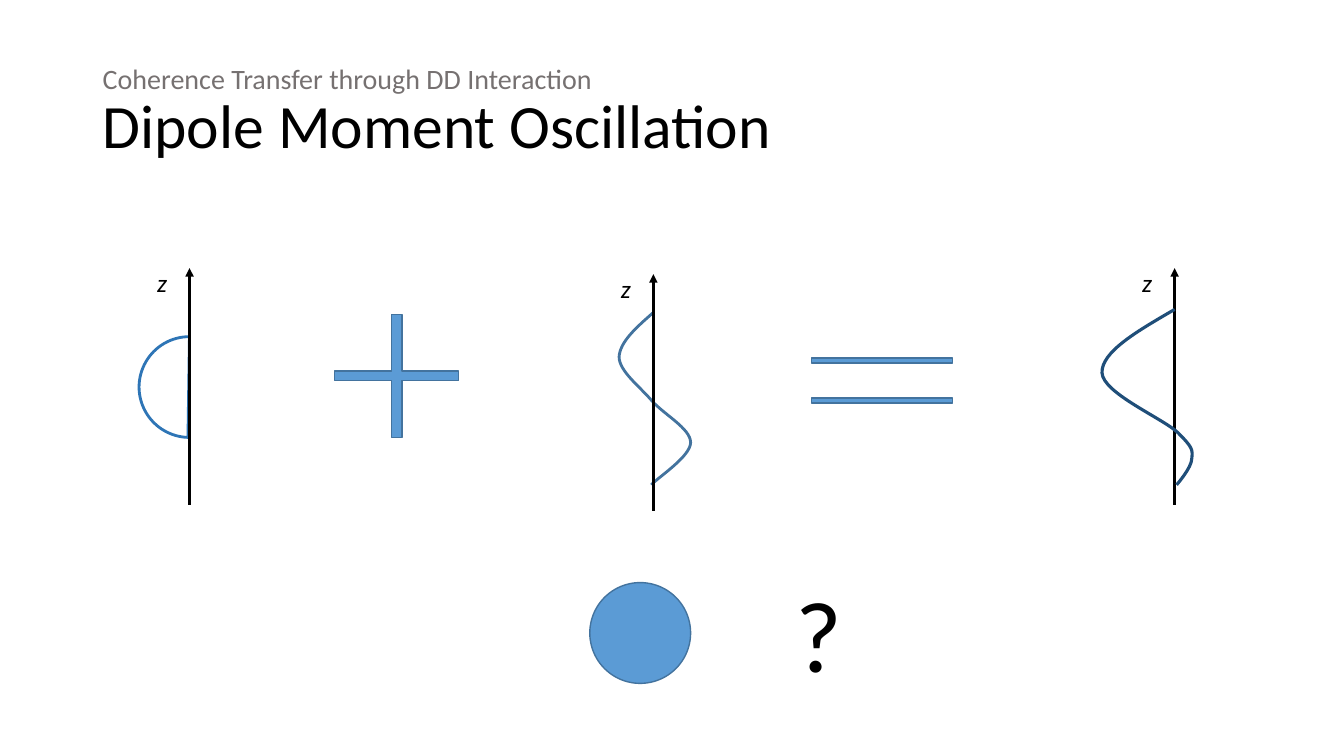
from lxml import etree
from pptx import Presentation
from pptx.dml.color import RGBColor
from pptx.enum.shapes import MSO_CONNECTOR, MSO_SHAPE
from pptx.enum.text import MSO_ANCHOR
from pptx.oxml.ns import qn
from pptx.util import Inches, Pt

STRAIGHT = MSO_CONNECTOR.STRAIGHT
CHORD, PLUS = MSO_SHAPE.CHORD, MSO_SHAPE.CROSS
BAR, CIRCLE = MSO_SHAPE.RECTANGLE, MSO_SHAPE.OVAL
TOP, MIDDLE = MSO_ANCHOR.TOP, MSO_ANCHOR.MIDDLE

BLACK, GREY = "000000", "767171"
BLUE, OUTLINE = "5B9BD5", "43739E"
CHORD_BLUE, SUM_BLUE = "2E75B6", "1F4E79"


def color(value):
    return RGBColor.from_string(value)


class SlideBuilder:
    font = "Calibri"

    def __init__(self, page):
        self.page = page

    def style(self, shape, fill, line, width):
        shape.shadow.inherit = False
        if fill:
            shape.fill.solid()
            shape.fill.fore_color.rgb = color(fill)
        else:
            shape.fill.background()
        shape.line.color.rgb = color(line)
        shape.line.width = Pt(width)

    def shape(self, kind, left, top, width, height, fill=BLUE, line=OUTLINE,
              weight=1, adjustments=()):
        shape = self.page.shapes.add_shape(
            kind, Inches(left), Inches(top), Inches(width), Inches(height))
        for index, value in enumerate(adjustments):
            shape.adjustments[index] = value
        self.style(shape, fill, line, weight)

    def text(self, left, top, width, height, lines, italic=False, anchor=TOP, spacing=1.0):
        """Lines of (wording, size, colour), split by line breaks."""
        box = self.page.shapes.add_textbox(
            Inches(left), Inches(top), Inches(width), Inches(height))
        frame = box.text_frame
        frame.word_wrap = True
        frame.vertical_anchor = anchor
        para = frame.paragraphs[0]
        para.line_spacing = spacing
        for index, (wording, size, ink) in enumerate(lines):
            if index:
                para.add_line_break()
            span = para.add_run()
            span.text = wording
            span.font.name = self.font
            span.font.italic = italic
            span.font.size = Pt(size)
            span.font.color.rgb = color(ink)

    def z_axis(self, x, top):
        axis = self.page.shapes.add_connector(
            STRAIGHT, Inches(x), Inches(top), Inches(x), Inches(top + 2.35))
        axis.line.color.rgb = color(BLACK)
        axis.line.width = Pt(2)
        etree.SubElement(axis.line._get_or_add_ln(), qn("a:headEnd"), type="triangle")
        etree.SubElement(axis._element.spPr, qn("a:effectLst"))
        self.text(x - 0.42, top - 0.06, 0.58, 0.4, [("z", 18, BLACK)], italic=True)

    def curve(self, start, curves, line, weight):
        """Cubic curves, each given as two control points and an end."""
        builder = self.page.shapes.build_freeform(Inches(start[0]), Inches(start[1]))
        builder.add_line_segments(
            [(Inches(x), Inches(y)) for *_, (x, y) in curves], close=False)
        wave = builder.convert_to_shape()
        # Bend each straight segment into a cubic curve
        segments = list(wave._element.iter(qn("a:lnTo")))
        for segment, points in zip(segments, curves):
            bend = etree.Element(qn("a:cubicBezTo"))
            for x, y in points:
                etree.SubElement(bend, qn("a:pt"), x=str(Inches(x) - wave.left),
                                 y=str(Inches(y) - wave.top))
            segment.getparent().replace(segment, bend)
        self.style(wave, None, line, weight)


def main():
    deck = Presentation()
    deck.slide_width, deck.slide_height = Inches(13.33), Inches(7.5)
    slide = SlideBuilder(deck.slides.add_slide(deck.slide_layouts[6]))

    # Title
    slide.text(0.92, 0.4, 11.5, 1.45,
               [("Coherence Transfer through DD Interaction", 20, GREY),
                ("Dipole Moment Oscillation", 44, BLACK)],
               anchor=MIDDLE, spacing=0.9)

    # First state: half circle
    slide.shape(CHORD, 1.38, 3.34, 1, 1, None, CHORD_BLUE, 2, (55.04, 162))
    slide.z_axis(1.88, 2.66)

    # Second state: full wave
    slide.curve((6.48, 3.1), [
        ((6.31, 3.25), (6.15, 3.39), (6.14, 3.54)),
        ((6.14, 3.68), (6.34, 3.83), (6.46, 3.97)),
        ((6.58, 4.11), (6.85, 4.25), (6.85, 4.39)),
        ((6.85, 4.53), (6.52, 4.74), (6.46, 4.81)),
    ], OUTLINE, 2)
    slide.z_axis(6.48, 2.72)

    # Plus and equals signs
    slide.shape(PLUS, 3.32, 3.12, 1.23, 1.22, adjustments=(0.461,))
    for top in (3.55, 3.95):
        slide.shape(BAR, 8.05, top, 1.4, 0.05)

    # Sum: uneven wave
    slide.z_axis(11.65, 2.66)
    slide.curve((11.65, 3.07), [
        ((11.29, 3.28), (10.92, 3.49), (10.93, 3.7)),
        ((10.94, 3.9), (11.53, 4.15), (11.68, 4.29)),
        ((11.83, 4.44), (11.83, 4.46), (11.82, 4.55)),
        ((11.82, 4.64), (11.67, 4.81), (11.67, 4.81)),
    ], SUM_BLUE, 2.25)

    # Open question
    slide.shape(CIRCLE, 5.85, 5.78, 1, 1)
    slide.text(7.79, 5.62, 0.53, 1.31, [("?", 72, BLACK)])

    deck.save("out.pptx")


if __name__ == "__main__":
    main()
